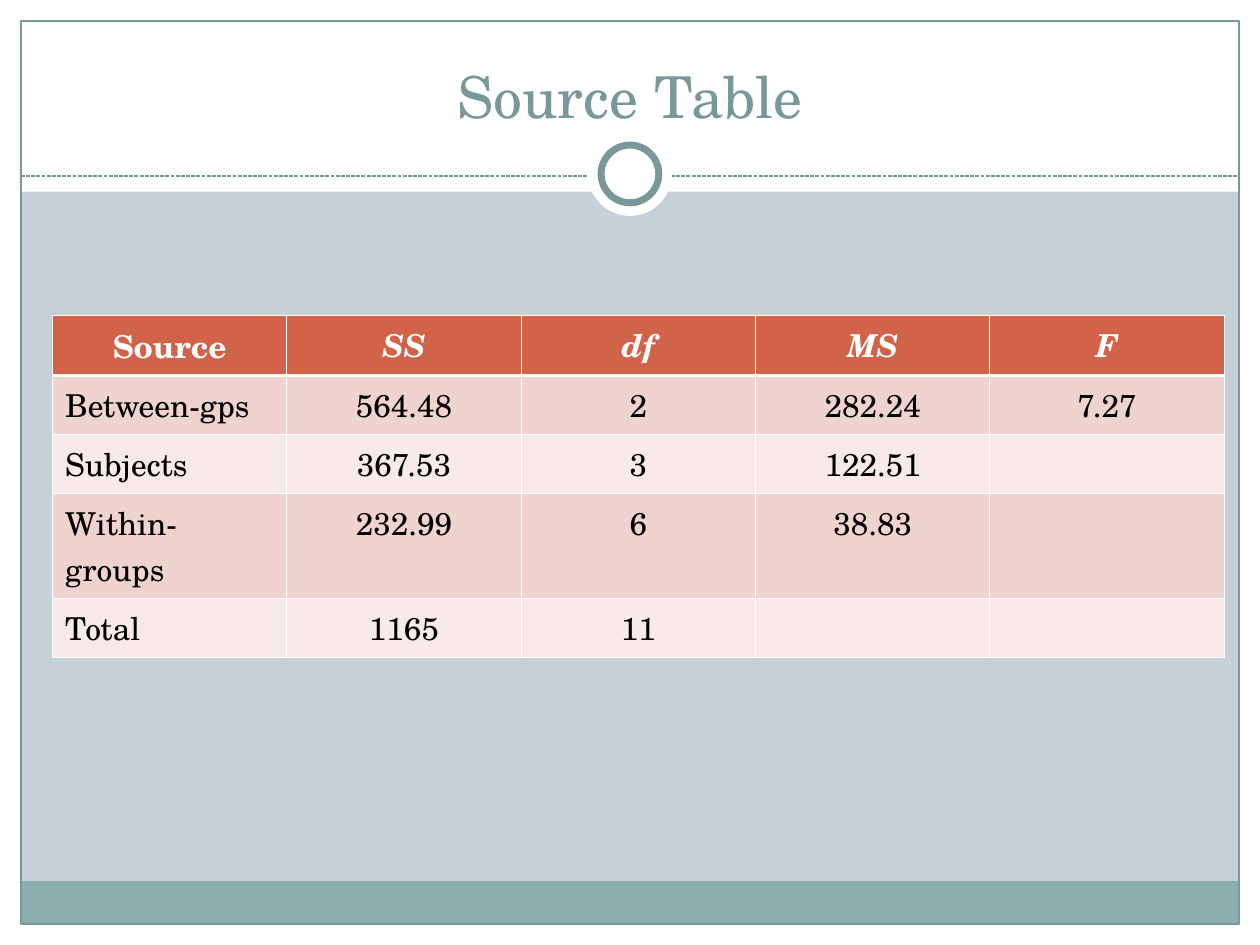
from lxml import etree
from pptx import Presentation, util as u
from pptx.dml.color import RGBColor
from pptx.enum import dml, shapes, text
from pptx.oxml import ns

Pt = u.Pt
FONT = "TeX Gyre Schola"
WHITE, TEAL, SEA, MIST = "FFFFFF", "7B9899", "8CADAE", "C5D1D7"
HEADER, BAND_DARK, BAND_LIGHT = "D16349", "EED3CF", "F7EAE9"
ROWS = [
    ["Source", "SS", "df", "MS", "F"],
    ["Between-gps", "564.48", "2", "282.24", "7.27"],
    ["Subjects", "367.53", "3", "122.51", ""],
    ["Within-groups", "232.99", "6", "38.83", ""],
    ["Total", "1165", "11", "", ""],
]
ROW_HEIGHTS = [34.6, 33.7, 33.7, 60, 33.7]


def color(value):
    """Turn a hex string into a colour."""
    return RGBColor.from_string(value)


def paint(target, value):
    """Give a fill-bearing object a solid colour."""
    target.fill.solid()
    target.fill.fore_color.rgb = color(value)


def add_shape(slide, kind, box, fill=None, line=None, width=0.75):
    """Add a flat preset shape with optional fill and outline."""
    shape = slide.shapes.add_shape(kind, *map(Pt, box))
    shape.shadow.inherit = False
    if fill:
        paint(shape, fill)
    else:
        shape.fill.background()
    if line:
        shape.line.color.rgb = color(line)
        shape.line.width = Pt(width)
    else:
        shape.line.fill.background()
    return shape


def write(frame, words, align, **formats):
    """Write one paragraph and apply its font values."""
    paragraph = frame.paragraphs[0]
    paragraph.alignment = align
    run = paragraph.add_run()
    run.text = words
    run.font.color.rgb = color(formats.pop("color"))
    for name, value in {"name": FONT, **formats}.items():
        setattr(run.font, name, value)


def add_backdrop(slide, box):
    """Draw the white margins, footer band and frame around the page."""
    left, top, width, height = box
    margin, footer = 12, 24.5
    inner = width - 2 * margin
    rectangle = shapes.MSO_SHAPE.RECTANGLE
    for band in (
        (left, top + height - margin, width, margin),
        (left, top, width, 109.5),
        (left, top, margin, height),
        (left + width - margin, top, margin, height),
    ):
        add_shape(slide, rectangle, band, WHITE)
    add_shape(slide, rectangle,
              (left + margin, top + height - margin - footer, inner, footer), SEA)
    add_shape(slide, rectangle,
              (left + margin, top + margin, inner, height - 2 * margin), line=TEAL)


def add_divider(slide, box):
    """Draw the dashed rule with the ring at its centre."""
    left, top, width, height = box
    rule_y = top + 25.2
    rule = slide.shapes.add_connector(
        shapes.MSO_CONNECTOR.STRAIGHT, Pt(left), Pt(rule_y), Pt(left + width), Pt(rule_y))
    rule.line.color.rgb = color(TEAL)
    rule.line.width = Pt(0.75)
    rule.line.dash_style = dml.MSO_LINE.SQUARE_DOT
    etree.SubElement(rule._element.spPr, ns.qn("a:effectLst"))
    center_x, center_y = left + width / 2, top + height / 2
    for size, line in ((height, None), (33, TEAL)):
        add_shape(slide, shapes.MSO_SHAPE.OVAL,
                  (center_x - size / 2, center_y - size / 2, size, size), WHITE, line, 4)


def add_title(slide, box, words):
    """Place the centred title at the bottom of its box."""
    frame = slide.shapes.add_textbox(*map(Pt, box)).text_frame
    frame.word_wrap = True
    frame.vertical_anchor = text.MSO_ANCHOR.BOTTOM
    write(frame, words, text.PP_ALIGN.CENTER, size=Pt(33), color=TEAL)


def add_borders(cell, top, bottom):
    """Give a cell white borders."""
    properties = cell._tc.get_or_add_tcPr()
    for side, width in {"L": 0.45, "R": 0.45, "T": top, "B": bottom}.items():
        line = etree.SubElement(properties, ns.qn(f"a:ln{side}"), w=str(Pt(width)))
        fill = etree.SubElement(line, ns.qn("a:solidFill"))
        etree.SubElement(fill, ns.qn("a:srgbClr"), val=WHITE)


def add_source_table(slide, box, rows):
    """Build the table with a header row and alternating bands."""
    table = slide.shapes.add_table(len(rows), len(rows[0]), *map(Pt, box)).table
    for column in table.columns:
        column.width = Pt(box[2] / len(rows[0]))
    for r, values in enumerate(rows):
        table.rows[r].height = Pt(ROW_HEIGHTS[r])
        header = r == 0
        fill = HEADER if header else (BAND_LIGHT, BAND_DARK)[r % 2]
        for c, value in enumerate(values):
            cell = table.cell(r, c)
            add_borders(cell, 1.47 if r == 1 else 0.45, 1.47 if header else 0.45)
            paint(cell, fill)
            if value:
                align = text.PP_ALIGN.CENTER if header or c else text.PP_ALIGN.LEFT
                write(cell.text_frame, value, align, size=Pt(18), bold=header,
                      italic=header and c > 0, color=WHITE if header else "000000")


def main():
    """Build and save the slide."""
    presentation = Presentation()
    presentation.slide_width, presentation.slide_height = Pt(720), Pt(540)
    slide = presentation.slides.add_slide(presentation.slide_layouts[6])
    paint(slide.background, MIST)
    add_backdrop(slide, (0, 0, 720, 540))
    add_divider(slide, (12, 75.4, 696, 48))
    add_title(slide, (24, 18, 672, 60), "Source Table")
    add_source_table(slide, (30, 180, 669.6, sum(ROW_HEIGHTS)), ROWS)
    presentation.save("out.pptx")


if __name__ == "__main__":
    main()
